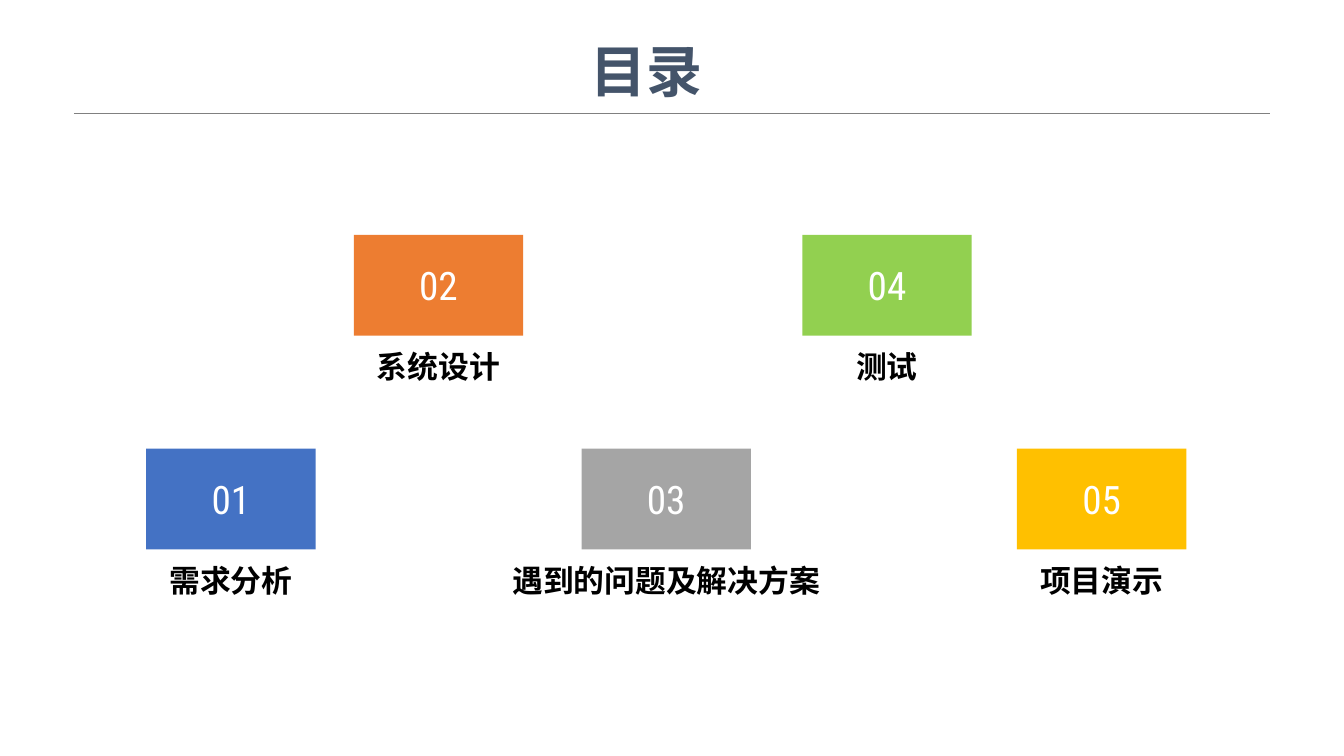
"""Build the contents slide: a ruled title over five numbered topic cards."""
import pptx
import pptx.dml.color
import pptx.enum.shapes
import pptx.enum.text
import pptx.oxml.xmlchemy
import pptx.util
from lxml import etree

Pt = pptx.util.Pt
ANCHOR = pptx.enum.text.MSO_ANCHOR
COLORS = {
    "title": "44546A", "rule": "808080", "label": "000000", "number": "FFFFFF",
    "blue": "4472C4", "orange": "ED7D31", "gray": "A5A5A5",
    "green": "92D050", "gold": "FFC000",
}
TITLE_FONT = {"name": "Arial", "size": Pt(40), "bold": True}
LABEL_FONT = {"name": "Arial", "size": Pt(22), "bold": True}
NUMBER_FONT = {"name": "Roboto Condensed", "size": Pt(28), "bold": False}
CARD_W, CARD_H = 121, 72
LABEL_GAP, LABEL_H = 5.75, 33.1
UPPER, LOWER = 167.75, 320.4
TOPICS = [
    ("需求分析", "blue", 164.9, LOWER, 131),
    ("系统设计", "orange", 313.2, UPPER, 131),
    ("遇到的问题及解决方案", "gray", 475.9, LOWER, 234),
    ("测试", "green", 633.6, UPPER, 131),
    ("项目演示", "gold", 786.9, LOWER, 158.4),
]


def rgb(name):
    return pptx.dml.color.RGBColor.from_string(COLORS[name])


def set_text(sp, text, font, color, anchor):
    tf = sp.text_frame
    frame = {"word_wrap": False, "vertical_anchor": anchor,
             "auto_size": pptx.enum.text.MSO_AUTO_SIZE.NONE}
    for key, value in frame.items():
        setattr(tf, key, value)
    p = tf.paragraphs[0]
    p.alignment = pptx.enum.text.PP_ALIGN.CENTER
    r = p.add_run()
    r.text = text
    for key, value in font.items():
        setattr(r.font, key, value)
    r.font.color.rgb = rgb(color)


def add_title(s, text):
    sp = s.shapes.title
    box = {"left": 339.1, "top": 22.3, "width": 245.5, "height": 56.9}
    for key, value in box.items():
        setattr(sp, key, Pt(value))
    set_text(sp, text, TITLE_FONT, "title", ANCHOR.TOP)


def add_rule(s, left, right, y):
    line = s.shapes.add_connector(pptx.enum.shapes.MSO_CONNECTOR.STRAIGHT,
                                  Pt(left), Pt(y), Pt(right), Pt(y))
    line.line.color.rgb = rgb("rule")
    line.line.width = Pt(0.25)
    sp_pr = line._element.spPr
    etree.SubElement(sp_pr, pptx.oxml.ns.qn("a:effectLst"))


def add_card(s, number, color, center, top):
    sp = s.shapes.add_shape(pptx.enum.shapes.MSO_SHAPE.RECTANGLE,
                            Pt(center - CARD_W / 2), Pt(top), Pt(CARD_W), Pt(CARD_H))
    sp.shadow.inherit = False
    sp.fill.solid()
    sp.fill.fore_color.rgb = rgb(color)
    sp.line.fill.background()
    set_text(sp, number, NUMBER_FONT, "number", ANCHOR.MIDDLE)


def add_label(s, text, center, top, width):
    sp = s.shapes.add_textbox(Pt(center - width / 2), Pt(top), Pt(width), Pt(LABEL_H))
    set_text(sp, text, LABEL_FONT, "label", ANCHOR.BOTTOM)


def main():
    prs = pptx.Presentation()
    prs.slide_width, prs.slide_height = Pt(960), Pt(540)
    s = prs.slides.add_slide(prs.slide_layouts.get_by_name("Title Only"))
    add_rule(s, 52.8, 907.2, 80.9)
    add_title(s, "目录")
    for i, (text, color, center, top, width) in enumerate(TOPICS, 1):
        add_card(s, f"{i:02d}", color, center, top)
        add_label(s, text, center, top + CARD_H + LABEL_GAP, width)
    prs.save("out.pptx")


if __name__ == "__main__":
    main()
